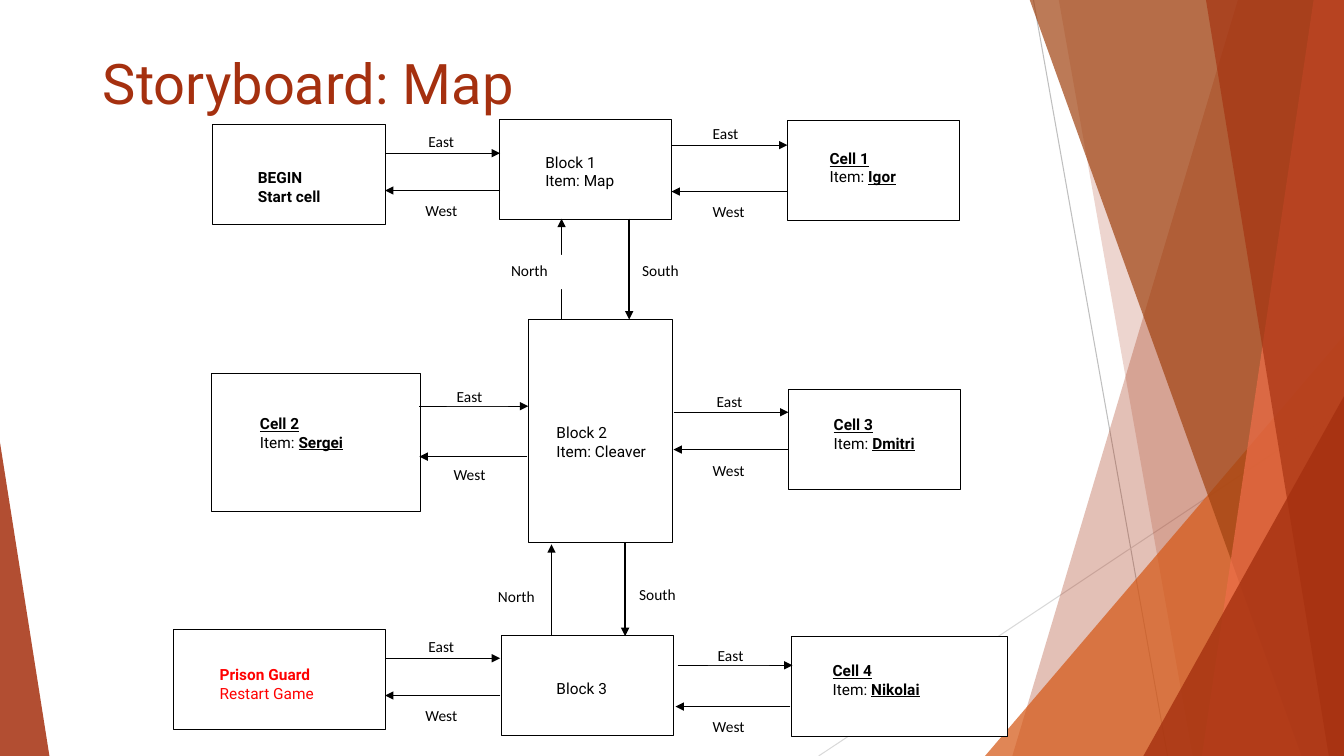
from lxml import etree
from pptx import Presentation
from pptx.dml.color import RGBColor
from pptx.enum.shapes import MSO_CONNECTOR, MSO_SHAPE
from pptx.enum.text import MSO_ANCHOR, MSO_AUTO_SIZE, PP_ALIGN
from pptx.oxml.ns import qn
from pptx.util import Pt

PX = 9144  # EMU per px, 100 px to the inch
WIDTH, HEIGHT = 1333, 750
TITLE_ONLY = 5

RECT, TRIANGLE = MSO_SHAPE.RECTANGLE, MSO_SHAPE.ISOSCELES_TRIANGLE
STRAIGHT = MSO_CONNECTOR.STRAIGHT
LEFT, TOP = PP_ALIGN.LEFT, MSO_ANCHOR.TOP
NO_FIT, GROW = MSO_AUTO_SIZE.NONE, MSO_AUTO_SIZE.SHAPE_TO_FIT_TEXT

BLACK = RGBColor(0x00, 0x00, 0x00)
WHITE = RGBColor(0xFF, 0xFF, 0xFF)
RED = RGBColor(0xFF, 0x00, 0x00)
RUST = RGBColor(0xA5, 0x30, 0x0F)
BROWN = RGBColor(0xA0, 0x42, 0x10)
ORANGE = RGBColor(0xD5, 0x58, 0x16)
CORAL = RGBColor(0xEE, 0x6E, 0x4A)
GREY = RGBColor(0xBF, 0xBF, 0xBF)
PALE_GREY = RGBColor(0xD9, 0xD9, 0xD9)

# Right-hand bands: top left x, bottom left x, colour, opacity in percent
BACK_BANDS = [(1228, 1004, RUST, 30), (1050, 1183, RUST, 20)]
FRONT_BANDS = [(1021, 1291, BROWN, 70), (1303, 1192, CORAL, 70),
               (1196, 1318, RUST, 65)]

# Rooms: left, top, width, height
ROOMS = [
    (211, 123, 171, 100), (495, 118, 171, 100), (781, 119, 171, 100),
    (210, 370, 207, 137), (524, 317, 143, 221), (782, 386, 171, 100),
    (172, 624, 210, 100), (497, 630, 171, 100), (785, 631, 214, 100),
]

# Passages: direction, from x, y, to x, y, label left, label top, line width
PASSAGES = [
    ("East", 382, 152, 496, 152, 415, 125, 0.75),
    ("West", 496, 189, 382, 189, 412, 193, 1),
    ("East", 666, 144, 781, 144, 697, 117, 0.75),
    ("West", 781, 190, 666, 190, 697, 194, 1),
    ("North", 557, 317, 557, 217, 497, 253, 1),
    ("South", 624, 217, 624, 317, 627, 253, 1),
    ("East", 416, 403, 524, 403, 443, 378, 1),
    ("West", 523, 453, 416, 453, 440, 455, 1),
    ("East", 668, 409, 782, 409, 701, 383, 0.75),
    ("West", 782, 446, 668, 446, 697, 451, 1),
    ("North", 547, 631, 547, 540, 484, 576, 1),
    ("South", 620, 539, 620, 631, 624, 574, 1),
    ("East", 382, 653, 496, 653, 415, 626, 0.75),
    ("West", 496, 690, 382, 690, 412, 694, 1),
    ("East", 672, 660, 786, 660, 702, 635, 0.75),
    ("West", 784, 701, 670, 701, 697, 705, 1),
]
LABEL_HEIGHT = {"East": 25, "West": 25, "North": 34, "South": 34}

# Prisoner cells: left, top, width, heading, item
CELLS = [
    (813, 143, 122, "Cell 1", "Igor"),
    (248, 406, 133, "Cell 2", "Sergei"),
    (817, 407, 119, "Cell 3", "Dmitri"),
    (816, 651, 146, "Cell 4", "Nikolai"),
]

# Other rooms: left, top, width, colour, lines of (text, bold)
NOTES = [
    (246, 162, 100, BLACK, [("BEGIN", True), ("Start cell", True)]),
    (531, 147, 113, BLACK, [("Block 1", False), ("Item: Map", False)]),
    (542, 415, 128, BLACK, [("Block 2", False), ("Item: Cleaver", False)]),
    (542, 669, 79, BLACK, [("Block 3", False)]),
    (208, 655, 117, RED, [("Prison Guard", True), ("Restart Game", False)]),
]


def px(*lengths):
    return [n * PX for n in lengths]


def add_run(p, text, font, size, color, bold=False, underline=False):
    r = p.add_run()
    r.text = text
    f = r.font
    f.name, f.size, f.bold, f.underline = font, Pt(size), bold, underline
    f.color.rgb = color


def paint(sp, color, opacity=100):
    sp.shadow.inherit = False
    sp.line.fill.background()
    sp.fill.solid()
    sp.fill.fore_color.rgb = color
    if opacity < 100:
        clr = sp.fill._xPr.find(".//" + qn("a:srgbClr"))
        etree.SubElement(clr, qn("a:alpha"), val=str(opacity * 1000))


def add_line(s, x1, y1, x2, y2, color, width, arrow=False):
    c = s.shapes.add_connector(STRAIGHT, *px(x1, y1, x2, y2))
    c.line.color.rgb = color
    c.line.width = Pt(width)
    if arrow:
        etree.SubElement(c.line._get_or_add_ln(), qn("a:tailEnd"), type="triangle")
    etree.SubElement(c._element.spPr, qn("a:effectLst"))


def add_band(s, top_x, bottom_x, color, opacity):
    fb = s.shapes.build_freeform(top_x, -1, scale=PX)
    fb.add_line_segments([(WIDTH, -1), (WIDTH, HEIGHT), (bottom_x, HEIGHT)])
    paint(fb.convert_to_shape(), color, opacity)


def add_triangle(s, x, y, w, h, apex, color, opacity):
    sp = s.shapes.add_shape(TRIANGLE, *px(x, y, w, h))
    sp.adjustments[0] = apex
    paint(sp, color, opacity)


def add_rect(s, x, y, w, h):
    sp = s.shapes.add_shape(RECT, *px(x, y, w, h))
    paint(sp, WHITE)
    return sp


def add_room(s, x, y, w, h):
    sp = add_rect(s, x, y, w, h)
    sp.line.color.rgb = BLACK
    sp.line.width = Pt(0.5)


def add_passage(s, direction, x1, y1, x2, y2, label_x, label_y, width):
    add_line(s, x1, y1, x2, y2, BLACK, width, arrow=True)
    sp = add_rect(s, label_x, label_y, 61, LABEL_HEIGHT[direction])
    tf = sp.text_frame
    tf.vertical_anchor = TOP
    p = tf.paragraphs[0]
    p.alignment, p.line_spacing, p.space_after = LEFT, 1.07, Pt(8)
    add_run(p, direction, "Calibri", 11, BLACK)


def add_note(s, x, y, w, color, lines):
    """Each line is a list of (text, bold, underline) runs."""
    tf = s.shapes.add_textbox(*px(x, y, w, 11 + 18 * len(lines))).text_frame
    tf.word_wrap = True
    tf.auto_size = GROW
    for i, runs in enumerate(lines):
        p = tf.add_paragraph() if i else tf.paragraphs[0]
        for text, bold, underline in runs:
            add_run(p, text, "Roboto", 11, color, bold, underline)


def add_title(s, text):
    title = s.shapes.title
    title.left, title.top, title.width, title.height = px(92, 43, 870, 118)
    tf = title.text_frame
    tf.word_wrap = True
    tf.auto_size, tf.vertical_anchor = NO_FIT, TOP
    p = tf.paragraphs[0]
    p.alignment = LEFT
    add_run(p, text, "Roboto", 40, RUST)


def add_decoration(s):
    add_line(s, 1025, 0, 1158, 750, GREY, 0.75)
    add_line(s, 1333, 403, 812, 750, PALE_GREY, 0.75)
    for band in BACK_BANDS:
        add_band(s, *band)
    add_triangle(s, 977, 333, 356, 417, 1, ORANGE, 72)
    for band in FRONT_BANDS:
        add_band(s, *band)
    add_triangle(s, 1134, 393, 199, 357, 1, RUST, 80)
    add_triangle(s, 0, 439, 49, 311, 0, RUST, 85)


def main():
    prs = Presentation()
    prs.slide_width, prs.slide_height = px(WIDTH, HEIGHT)
    s = prs.slides.add_slide(prs.slide_layouts[TITLE_ONLY])

    # Backdrop and title
    add_decoration(s)
    add_title(s, "Storyboard: Map")

    # Map: rooms and the passages between them
    for room in ROOMS:
        add_room(s, *room)
    for passage in PASSAGES:
        add_passage(s, *passage)

    # Room texts
    for x, y, w, heading, item in CELLS:
        add_note(s, x, y, w, BLACK, [[(heading, True, True)],
                                     [("Item: ", False, False), (item, True, True)]])
    for x, y, w, color, lines in NOTES:
        add_note(s, x, y, w, color, [[(text, bold, False)] for text, bold in lines])

    prs.save("out.pptx")


if __name__ == "__main__":
    main()
